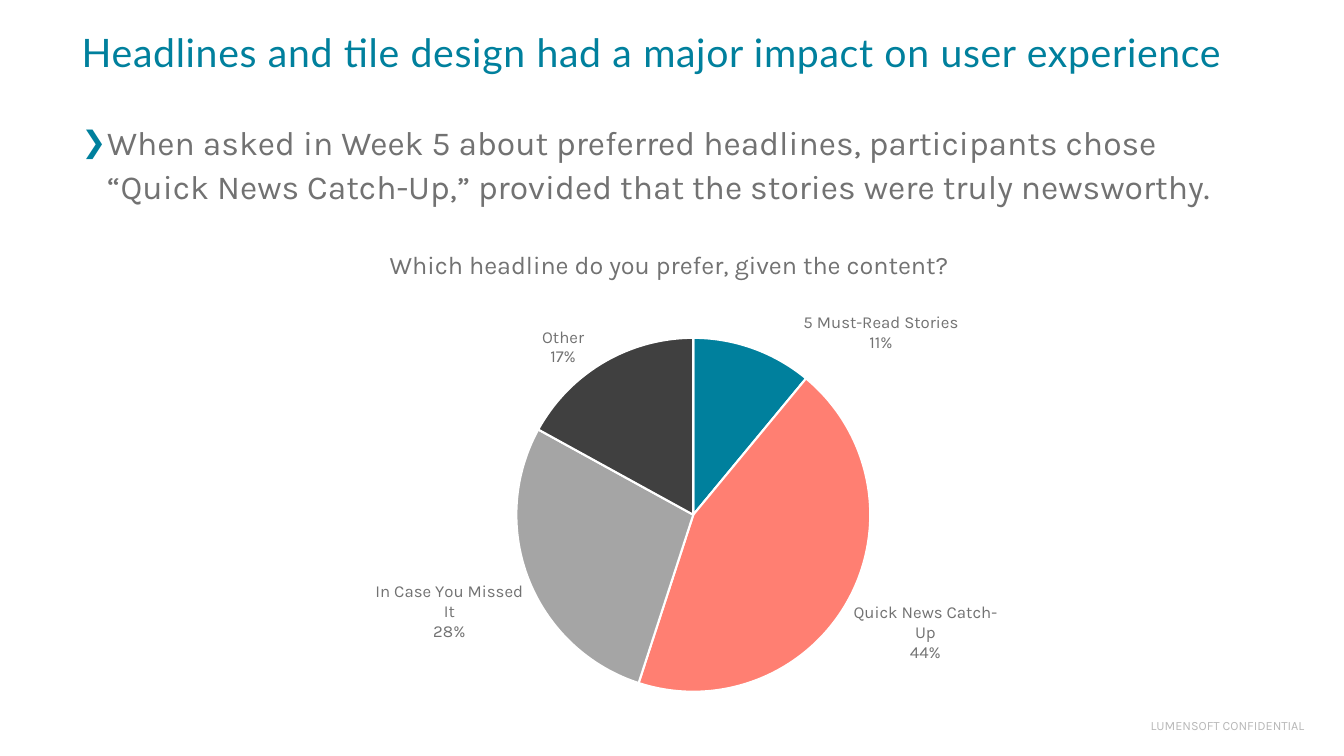
"""Build a slide on headline preference with one bullet and a pie chart."""
from copy import deepcopy

from lxml.etree import SubElement
from pptx import Presentation
from pptx.chart.data import CategoryChartData
from pptx.dml.color import RGBColor
from pptx.enum.chart import XL_CHART_TYPE as ChartType, XL_LABEL_POSITION as LabelPosition
from pptx.enum.text import MSO_ANCHOR as Anchor, MSO_AUTO_SIZE as AutoSize, PP_ALIGN as Align
from pptx.oxml.ns import qn
from pptx.util import Cm, Pt

TEAL, GREY = "00809D", "727272"
HEADLINES = [
    ("5 Must-Read Stories", 11, TEAL),
    ("Quick News Catch-Up", 44, "FF7F72"),
    ("In Case You Missed It", 28, "A5A5A5"),
    ("Other", 17, "404040"),
]
LABEL_OFFSETS = {0: (0.06, 0.02), 3: (-0.02, 0.02)}


def rgb(value):
    return RGBColor.from_string(value)


def style_font(font, name, size, color):
    font.name, font.size, font.bold = name, Pt(size), False
    font.color.rgb = rgb(color)


def place(shape, left, top, width, height):
    shape.left, shape.top = Cm(left), Cm(top)
    shape.width, shape.height = Cm(width), Cm(height)


def fill_text(shape, text, font, size, color, align=Align.LEFT,
              anchor=Anchor.TOP, inset=0.13, wrap=True, spacing=1.0):
    frame = shape.text_frame
    frame.word_wrap, frame.auto_size = wrap, AutoSize.NONE
    frame.vertical_anchor = anchor
    frame.margin_left = frame.margin_right = 0
    frame.margin_top = frame.margin_bottom = Cm(inset)
    paragraph = frame.paragraphs[0]
    paragraph.text, paragraph.alignment = text, align
    paragraph.line_spacing, paragraph.space_before = spacing, Pt(0)
    style_font(paragraph.font, font, size, color)
    return paragraph


def add_bullet(paragraph, char, color, percent, indent):
    properties = paragraph._p.get_or_add_pPr()
    properties.set("marL", str(Cm(indent)))
    properties.set("indent", str(-Cm(indent)))
    bullet_color = SubElement(properties, qn("a:buClr"))
    SubElement(bullet_color, qn("a:srgbClr"), val=color)
    SubElement(properties, qn("a:buSzPct"), val=str(percent * 1000))
    SubElement(properties, qn("a:buChar"), char=char)


def add_layout(parent, **settings):
    layout = SubElement(parent, qn("c:layout"))
    manual = SubElement(layout, qn("c:manualLayout"))
    for tag, value in settings.items():
        SubElement(manual, qn(f"c:{tag}"), val=str(value))
    return layout


def label_slices(plot):
    plot.has_data_labels = True
    labels = plot.data_labels
    labels.show_category_name = labels.show_percentage = True
    labels.show_value = False
    labels.number_format, labels.number_format_is_linked = "0%", False
    labels.position = LabelPosition.OUTSIDE_END
    style_font(labels.font, "Karla", 12, GREY)
    series_labels = plot.series[0].data_labels._element
    for child in list(series_labels):
        series_labels.remove(child)
    shared = [child for child in labels._element if child.tag != qn("c:showLeaderLines")]
    separator = shared[-1].makeelement(qn("c:separator"))
    separator.text = "\n"
    shared.append(separator)
    for index, (x, y) in LABEL_OFFSETS.items():
        label = SubElement(series_labels, qn("c:dLbl"))
        SubElement(label, qn("c:idx"), val=str(index))
        add_layout(label, x=x, y=y)
        label.extend(deepcopy(shared))
    series_labels.extend(deepcopy(shared))
    SubElement(series_labels, qn("c:showLeaderLines"), val="0")


def add_pie(slide, title, headlines):
    data = CategoryChartData()
    data.categories = [name for name, _, _ in headlines]
    data.add_series("Series 1", [share for _, share, _ in headlines])
    chart = slide.shapes.add_chart(
        ChartType.PIE, Cm(6.73), Cm(5.77), Cm(20.27), Cm(12.42), data).chart
    style_font(chart.font, "Karla", 10, "262626")
    chart.has_legend = False
    chart.has_title = True
    heading = chart.chart_title.text_frame.paragraphs[0]
    heading.text = title
    style_font(heading.font, "Karla", 18, GREY)
    plot = chart.plots[0]
    plot.vary_by_categories = True
    for index, (_, _, color) in enumerate(headlines):
        piece = plot.series[0].points[index].format
        piece.fill.solid()
        piece.fill.fore_color.rgb = rgb(color)
        piece.line.color.rgb = rgb("FFFFFF")
        piece.line.width = Pt(1.5)
    label_slices(plot)
    area = chart._chartSpace.find(f".//{qn('c:plotArea')}")
    for previous in area.findall(qn("c:layout")):
        area.remove(previous)
    area.insert(0, add_layout(area, layoutTarget="inner", xMode="edge", yMode="edge",
                              x=0.31, y=0.22, w=0.44, h=0.72))


def main():
    deck = Presentation()
    deck.slide_width, deck.slide_height = Cm(33.87), Cm(19.05)
    slide = deck.slides.add_slide(deck.slide_layouts[1])

    confidentiality = slide.shapes.add_textbox(Cm(28.88), Cm(18.08), Cm(3.99), Cm(0.38))
    fill_text(confidentiality, "LUMENSOFT CONFIDENTIAL", "Karla", 9, "B8B8B8",
              align=Align.RIGHT, inset=0, wrap=False)

    title, body = slide.placeholders
    place(title, 2.06, 0.53, 29.67, 1.68)
    headline = fill_text(
        title, "Headlines and tile design had a major impact on user experience",
        "Lato", 28, TEAL, anchor=Anchor.MIDDLE, spacing=0.9)
    headline.runs[0]._r.get_or_add_rPr().set("spc", "50")

    place(body, 2.06, 2.84, 29.21, 14.99)
    finding = fill_text(
        body, "When asked in Week 5 about preferred headlines, participants chose "
        "“Quick News Catch-Up,” provided that the stories were truly newsworthy.",
        "Karla", 24, GREY, spacing=1.1)
    add_bullet(finding, "❯", TEAL, 88, 0.64)

    add_pie(slide, "Which headline do you prefer, given the content?", HEADLINES)
    deck.save("out.pptx")


if __name__ == "__main__":
    main()
